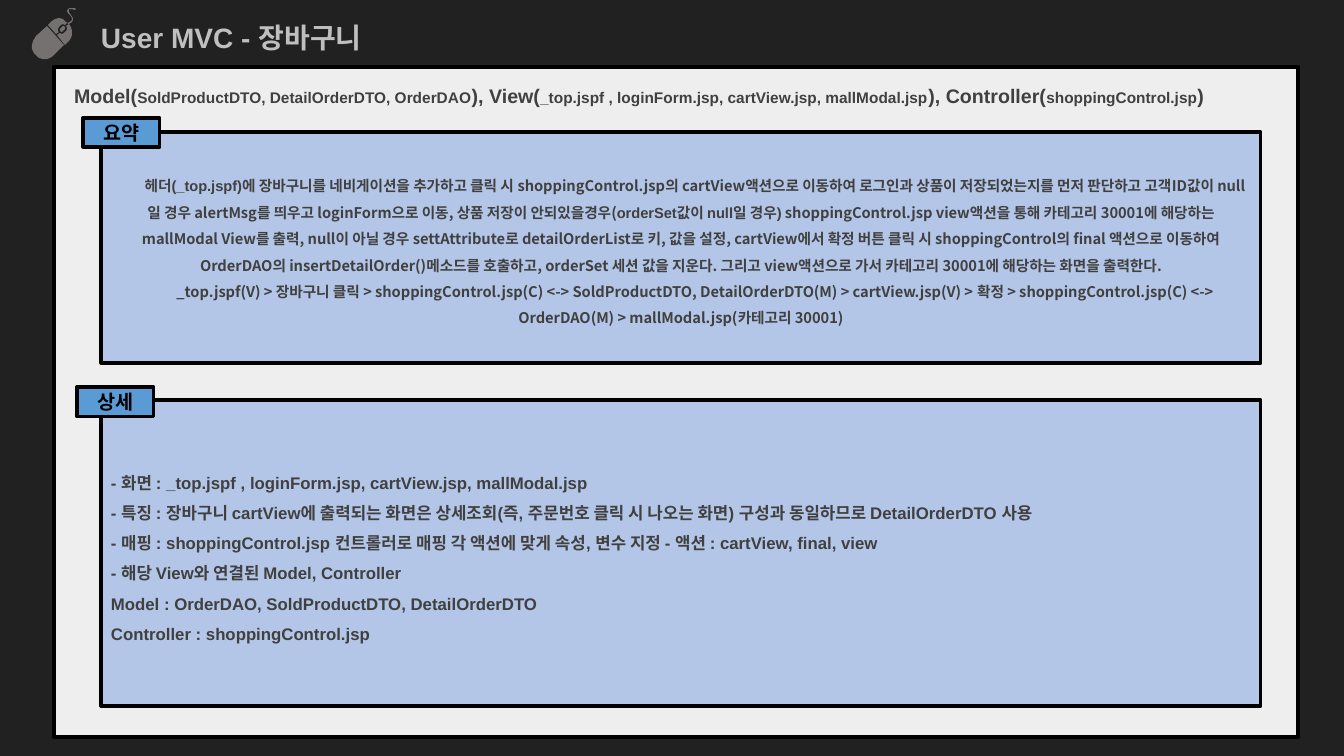
from dataclasses import dataclass

from lxml import etree
from pptx import Presentation
from pptx import util as u
from pptx.dml.color import RGBColor
from pptx.enum import shapes, text
from pptx.oxml.ns import qn

EMU_PER_PX = 12192000 / 1344
LATIN, HANGUL = "Arial", "Noto Sans CJK KR"
INK, BLACK = "404040", "000000"
LEFT, CENTER = text.PP_ALIGN.LEFT, text.PP_ALIGN.CENTER
TOP, MIDDLE = text.MSO_ANCHOR.TOP, text.MSO_ANCHOR.MIDDLE


@dataclass(frozen=True)
class Box:
    left: int
    top: int
    width: int
    height: int


@dataclass(frozen=True)
class Run:
    words: str
    size: float
    font: str = LATIN
    color: str = INK


@dataclass(frozen=True)
class Style:
    align: text.PP_ALIGN = LEFT
    anchor: text.MSO_ANCHOR = MIDDLE
    spacing: float = 1.5
    first_indent: int = 0
    inset_left: int = 10


@dataclass(frozen=True)
class Section:
    heading: str
    tag: Box
    body: Box
    paragraphs: list[list[Run]]
    style: Style


MODEL_VIEW_CONTROLLER = [
    Run("Model(", 14),
    Run("SoldProductDTO, DetailOrderDTO, OrderDAO", 11),
    Run("), View(", 14),
    Run("_top.jspf , loginForm.jsp, cartView.jsp, mallModal.jsp", 11),
    Run("), Controller(", 14),
    Run("shoppingControl.jsp", 11),
    Run(")", 14),
]

SUMMARY = [
    [
        Run("헤더(_top.jspf)에 ", 10.5),
        Run("장바구니를 네비게이션을 추가하고 클릭 시 shoppingControl.jsp의 cartView액션으로 "
            "이동하여 로그인과 상품이 저장되었는지를 먼저 판단하고 고객ID값이 null일 경우 "
            "alertMsg를 띄우고 loginForm으로 이동, 상품 저장이 안되있을경우(", 10.5, HANGUL),
        Run("orderSet값이 null일 경우)", 10.5),
        Run(" shoppingControl.jsp view액션을 통해 카테고리 30001에 해당하는 mallModal View를 "
            "출력, null이 아닐 경우 settAttribute로 detailOrderList로 키, 값을 설정, "
            "cartView에서 확정 버튼 클릭 시 shoppingControl의 final 액션으로 이동하여 "
            "OrderDAO의 insertDetailOrder()메소드를 호출하고, orderSet 세션 값을 지운다. "
            "그리고 view액션으로 가서 카테고리 30001에 해당하는 화면을 출력한다.", 10.5, HANGUL),
    ],
    [
        Run("_top.jspf(V) > 장바구니 클릭 > shoppingControl.jsp(C) <-> SoldProductDTO, "
            "DetailOrderDTO(M) > cartView.jsp(V) > 확정 > shoppingControl.jsp(C) <-> "
            "OrderDAO(M) > mallModal.jsp(카테고리 30001)", 10.5, HANGUL),
    ],
]

DETAILS = [
    [Run(line, 12)]
    for line in (
        "- 화면 : _top.jspf , loginForm.jsp, cartView.jsp, mallModal.jsp",
        "- 특징 : 장바구니 cartView에 출력되는 화면은 상세조회(즉, 주문번호 클릭 시 나오는 화면) "
        "구성과 동일하므로 DetailOrderDTO 사용",
        "- 매핑 : shoppingControl.jsp 컨트롤러로 매핑 각 액션에 맞게 속성, 변수 지정 "
        "- 액션 : cartView, final, view",
        "- 해당 View와 연결된 Model, Controller",
        "Model : OrderDAO, SoldProductDTO, DetailOrderDTO",
        "Controller : shoppingControl.jsp",
    )
]

SECTIONS = [
    Section("요약", Box(83, 118, 77, 29), Box(101, 132, 1160, 231), SUMMARY,
            Style(align=CENTER, first_indent=28)),
    Section("상세", Box(77, 387, 77, 30), Box(101, 400, 1160, 306), DETAILS, Style()),
]

MOUSE_OUTLINES = {
    "wheel": [(64, 26), (65, 27), (65, 29), (62, 32), (61, 32), (60, 30), (60, 29), (63, 26)],
    "palm": [(47, 26), (64, 45), (53, 56), (50, 58), (47, 59), (43, 59), (39, 58), (37, 56),
             (34, 53), (32, 49), (32, 45), (33, 41), (36, 36)],
    "right button": [(69, 24), (71, 27), (72, 31), (72, 35), (71, 38), (69, 41), (65, 45),
                     (57, 35), (60, 33), (62, 34), (64, 33), (67, 30), (67, 27), (66, 26)],
    "left button": [(59, 18), (63, 19), (67, 23), (65, 25), (63, 24), (61, 25), (59, 27),
                    (58, 29), (58, 31), (59, 32), (56, 34), (48, 25), (52, 21), (55, 19)],
    "cable": [(71, 8), (75, 8), (76, 9), (75, 10), (72, 9), (69, 9), (69, 12), (71, 15),
              (73, 18), (73, 20), (72, 22), (69, 24), (67, 23), (70, 22), (72, 20), (72, 18),
              (70, 15), (68, 13), (67, 11), (68, 9), (70, 8)],
}


def px(length: int) -> u.Emu:
    return u.Emu(round(length * EMU_PER_PX))


def paint(target, color: str) -> None:
    target.solid()
    target.fore_color.rgb = RGBColor.from_string(color)


def write(frame, paragraphs: list[list[Run]], style: Style) -> None:
    frame.word_wrap = True
    frame.vertical_anchor = style.anchor
    frame.margin_left, frame.margin_right = px(style.inset_left), px(10)
    frame.margin_top = frame.margin_bottom = px(5)
    for index, runs in enumerate(paragraphs):
        paragraph = frame.add_paragraph() if index else frame.paragraphs[0]
        paragraph.alignment = style.align
        paragraph.line_spacing = style.spacing
        if style.first_indent:
            properties = paragraph._p.get_or_add_pPr()
            properties.set("marL", "0")
            properties.set("indent", str(px(style.first_indent)))
        for part in runs:
            run = paragraph.add_run()
            run.text = part.words
            run.font.size = u.Pt(part.size)
            run.font.bold = True
            paint(run.font.fill, part.color)
            run.font.name = part.font
            etree.SubElement(run._r.get_or_add_rPr(), qn("a:ea"), typeface=HANGUL)


def add_panel(slide, box: Box, fill: str, border: float,
              paragraphs: list[list[Run]], style: Style) -> None:
    panel = slide.shapes.add_shape(shapes.MSO_SHAPE.RECTANGLE, px(box.left), px(box.top),
                                   px(box.width), px(box.height))
    panel.shadow.inherit = False
    paint(panel.fill, fill)
    paint(panel.line.fill, BLACK)
    panel.line.width = u.Pt(border)
    write(panel.text_frame, paragraphs, style)


def add_mouse(slide) -> None:
    first, *others = MOUSE_OUTLINES.values()
    outline = slide.shapes.build_freeform(*first[0], scale=EMU_PER_PX)
    outline.add_line_segments(first[1:], close=True)
    for points in others:
        outline.move_to(*points[0])
        outline.add_line_segments(points[1:], close=True)
    mouse = outline.convert_to_shape()
    mouse.shadow.inherit = False
    paint(mouse.fill, "767171")
    mouse.line.fill.background()


def add_title(slide, box: Box, words: str) -> None:
    title = slide.shapes.title
    title.left, title.top = px(box.left), px(box.top)
    title.width, title.height = px(box.width), px(box.height)
    title.text_frame.auto_size = text.MSO_AUTO_SIZE.SHAPE_TO_FIT_TEXT
    write(title.text_frame, [[Run(words, 20, color="BFBFBF")]],
          Style(anchor=TOP, spacing=1.14))


def main() -> None:
    deck = Presentation()
    deck.slide_width, deck.slide_height = px(1344), px(756)
    slide = deck.slides.add_slide(deck.slide_layouts.get_by_name("Title Only"))
    paint(slide.background.fill, "212121")
    add_title(slide, Box(91, 11, 532, 48), "User MVC - 장바구니")
    add_panel(slide, Box(54, 67, 1244, 670), "EEEEEE", 3, [MODEL_VIEW_CONTROLLER],
              Style(anchor=TOP, inset_left=20))
    add_mouse(slide)
    for section in SECTIONS:
        add_panel(slide, section.body, "B4C6E7", 2.25, section.paragraphs, section.style)
        add_panel(slide, section.tag, "5B9BD5", 2.25,
                  [[Run(section.heading, 14, HANGUL, BLACK)]],
                  Style(align=CENTER, spacing=1.0))
    deck.save("out.pptx")


if __name__ == "__main__":
    main()
